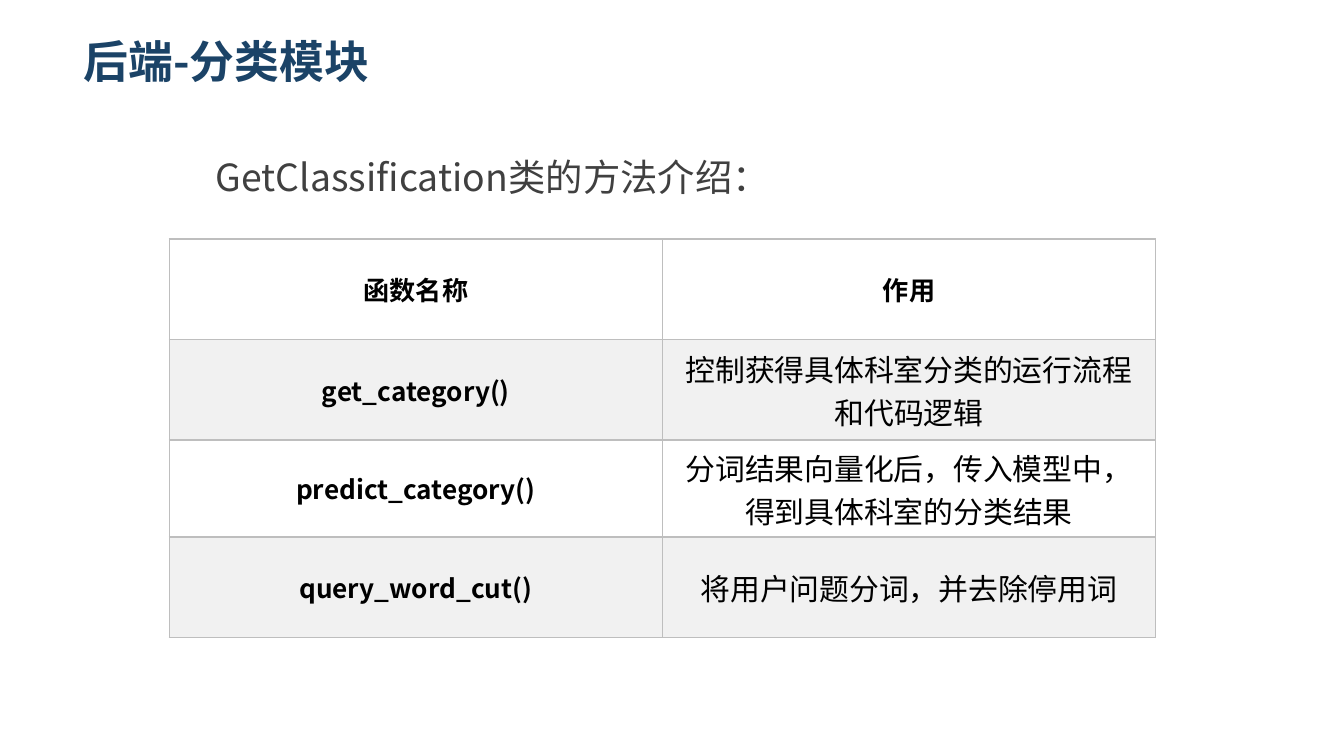
from lxml import etree
from pptx import Presentation
from pptx.dml.color import RGBColor
from pptx.enum.text import MSO_ANCHOR, PP_ALIGN
from pptx.oxml.ns import qn
from pptx.util import Cm, Pt

CENTER = PP_ALIGN.CENTER
MIDDLE = MSO_ANCHOR.MIDDLE
FONT = "Noto Sans CJK SC"
BLACK = "000000"
GREY = "404040"
NAVY = "1B4367"
BAND = "F1F1F1"
BORDER = "BEBEBE"

METHODS = [
    ("函数名称", "作用"),
    ("get_category()", "控制获得具体科室分类的运行流程和代码逻辑"),
    ("predict_category()", "分词结果向量化后，传入模型中，得到具体科室的分类结果"),
    ("query_word_cut()", "将用户问题分词，并去除停用词"),
]
ROW_HEIGHTS = [1.9, 1.9, 1.83, 1.9]


def color(value):
    return RGBColor.from_string(value)


class SlideBuilder:
    def __init__(self, slide, font=FONT):
        self.slide = slide
        self.font = font

    def style(self, paragraph, size, fill, bold=False):
        for run in paragraph.runs:
            run.font.name = self.font
            run.font.size = Pt(size)
            run.font.bold = bold
            run.font.color.rgb = color(fill)
            east_asian = etree.SubElement(run._r.get_or_add_rPr(), qn("a:ea"))
            east_asian.set("typeface", self.font)

    def text(self, content, left, top, width, height, size, fill,
             bold=False, spacing=1.0, margins=(0.25, 0.13), tab=None):
        shape = self.slide.shapes.add_textbox(Cm(left), Cm(top), Cm(width), Cm(height))
        frame = shape.text_frame
        frame.word_wrap = True
        frame.margin_left = frame.margin_right = Cm(margins[0])
        frame.margin_top = frame.margin_bottom = Cm(margins[1])
        frame.text = content
        paragraph = frame.paragraphs[0]
        paragraph.line_spacing = spacing
        if tab:
            tabs = etree.SubElement(paragraph._p.get_or_add_pPr(), qn("a:tabLst"))
            etree.SubElement(tabs, qn("a:tab"), pos=str(Cm(tab)), algn="l")
        self.style(paragraph, size, fill, bold)

    def border(self, cell):
        properties = cell._tc.get_or_add_tcPr()
        for side in ("lnL", "lnR", "lnT", "lnB"):
            line = etree.SubElement(properties, qn(f"a:{side}"), w=str(Pt(1)))
            solid = etree.SubElement(line, qn("a:solidFill"))
            etree.SubElement(solid, qn("a:srgbClr"), val=BORDER)

    def cell(self, cell, content, size, bold, banded):
        self.border(cell)
        if banded:
            cell.fill.solid()
            cell.fill.fore_color.rgb = color(BAND)
        else:
            cell.fill.background()
        cell.margin_left = cell.margin_right = Cm(0.18)
        cell.margin_top = cell.margin_bottom = 0
        cell.vertical_anchor = MIDDLE
        cell.text_frame.text = content
        paragraph = cell.text_frame.paragraphs[0]
        paragraph.alignment = CENTER
        self.style(paragraph, size, BLACK, bold)

    def table(self, rows, heights, left, top, width):
        columns = len(rows[0])
        frame = self.slide.shapes.add_table(
            len(rows), columns, Cm(left), Cm(top), Cm(width), Cm(sum(heights)))
        table = frame.table
        table.first_row = table.horz_banding = False
        for column in table.columns:
            column.width = Cm(width / columns)
        for row, (values, height) in enumerate(zip(rows, heights)):
            table.rows[row].height = Cm(height)
            for column, value in enumerate(values):
                heading = row == 0 or column == 0
                self.cell(table.cell(row, column), value,
                          14 if heading else 16, heading, row % 2 == 1)


def main():
    presentation = Presentation()
    presentation.slide_width = Cm(25.4)
    presentation.slide_height = Cm(14.29)
    slide = presentation.slides.add_slide(presentation.slide_layouts[6])
    builder = SlideBuilder(slide)
    builder.table(METHODS, ROW_HEIGHTS, 3.2, 4.52, 18.64)
    builder.text("\tGetClassification类的方法介绍：", 1.93, 2.36, 21.18, 1.52,
                 20, GREY, spacing=1.5, tab=1.9)
    builder.text("后端-分类模块", 1.4, 0.53, 9.8, 1.22, 24, NAVY,
                 bold=True, margins=(0.18, 0.1))
    presentation.save("out.pptx")


if __name__ == "__main__":
    main()
